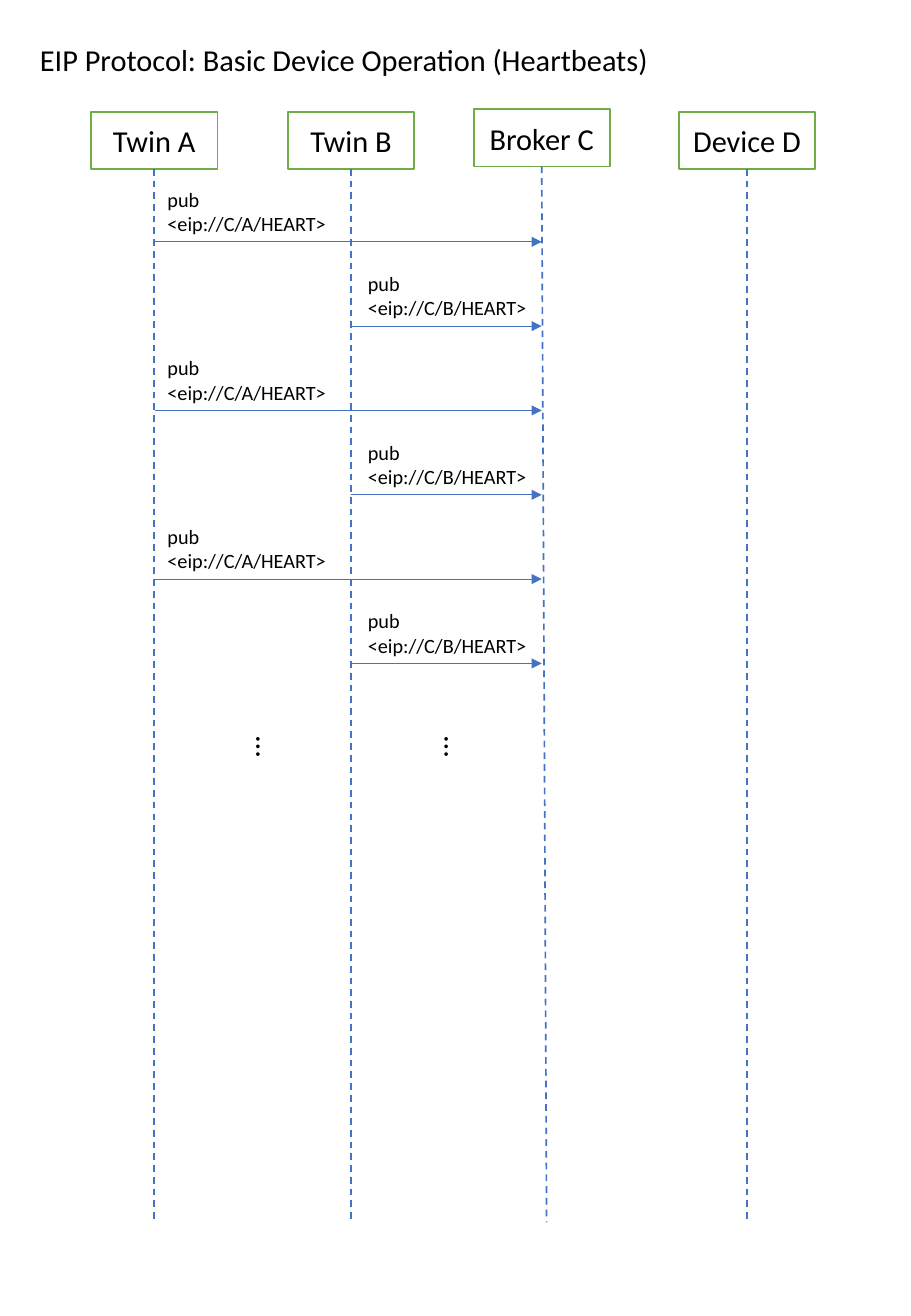
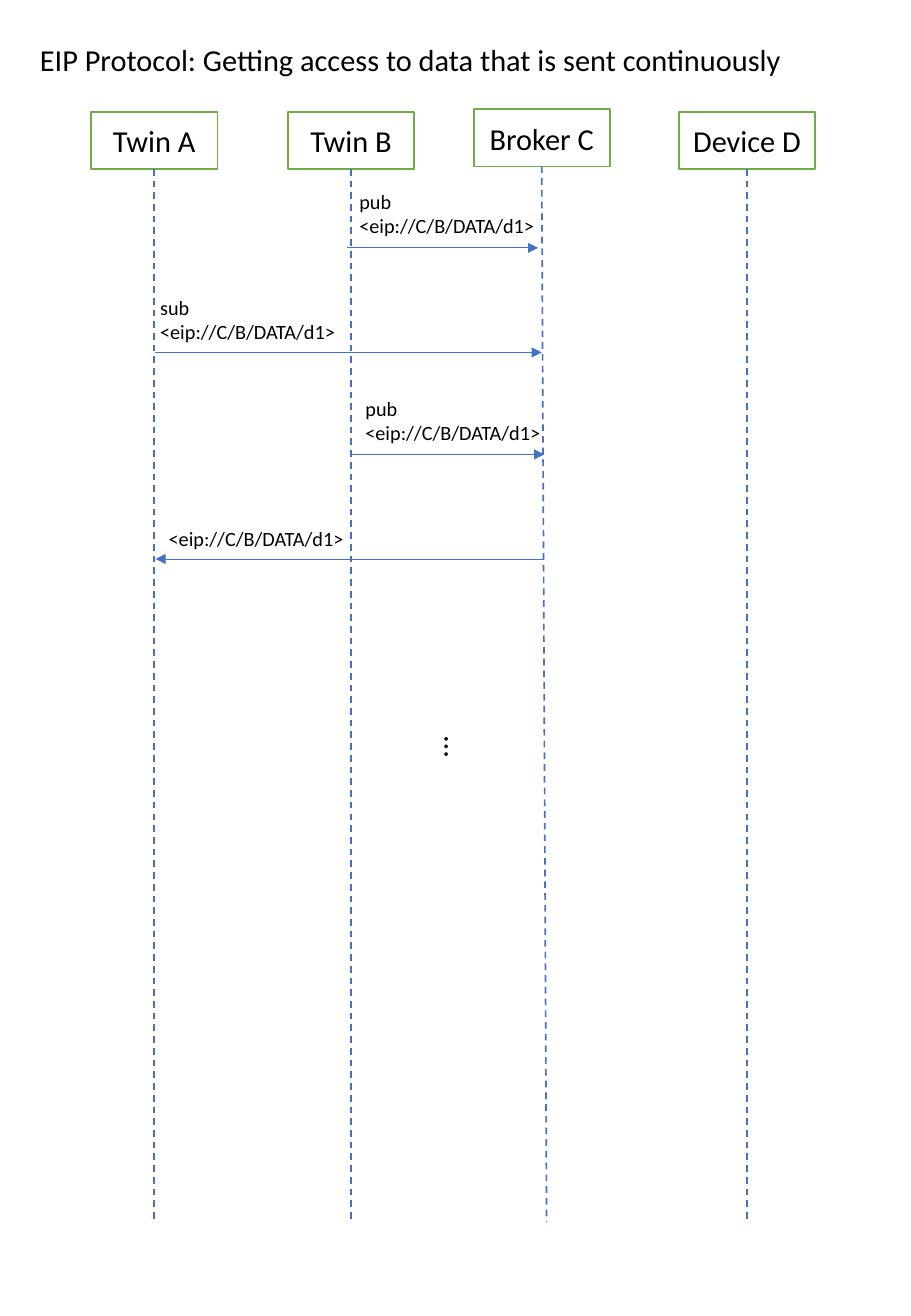
"""Build two sequence-diagram slides of the EIP protocol."""
import pptx
import pptx.dml.color
import pptx.enum.dml
import pptx.enum.shapes
import pptx.enum.text
import pptx.oxml
import pptx.oxml.ns
import pptx.util

Inches = pptx.util.Inches
TWIN_A, TWIN_B, BROKER_C = 1.28, 2.89, 4.46
LIFELINE_END = 10.06
DOTS_LEFT, DOTS_RIGHT = 1.91, 3.46
PARTIES = [
    ("Twin A", 0.75, 0.92, 1.04, 0),
    ("Twin B", 2.37, 0.92, 1.04, 0),
    ("Broker C", 3.9, 0.9, 1.12, 0.04),
    ("Device D", 5.59, 0.92, 1.12, 0),
]


class SequenceDiagram:
    COLORS = {"text": "000000", "box": "FFFFFF", "border": "70AD47", "line": "4472C4"}
    FONT = "Calibri"
    LARGE, SMALL = 18, 12
    BOX_HEIGHT = 0.47

    def __init__(self, presentation):
        self.presentation = presentation
        self.slide = None

    def color(self, role):
        return pptx.dml.color.RGBColor.from_string(self.COLORS[role])

    def styled_run(self, frame, text, size):
        run = frame.paragraphs[0].add_run()
        run.text = text
        run.font.name = self.FONT
        run.font.size = pptx.util.Pt(size)
        run.font.color.rgb = self.color("text")

    def start(self, title):
        self.slide = self.presentation.slides.add_slide(self.presentation.slide_layouts[6])
        for party in PARTIES:
            self.party(*party)
        self.label(title, 0.23, 0.29, 6.38, 0.4, self.LARGE, wrap=False)

    def label(self, text, left, top, width, height, size, wrap=True):
        box = self.slide.shapes.add_textbox(
            Inches(left), Inches(top), Inches(width), Inches(height))
        frame = box.text_frame
        frame.word_wrap = wrap
        frame.auto_size = pptx.enum.text.MSO_AUTO_SIZE.SHAPE_TO_FIT_TEXT
        self.styled_run(frame, text, size)
        return box

    def connector(self, x1, y1, x2, y2, width):
        connector = self.slide.shapes.add_connector(
            pptx.enum.shapes.MSO_CONNECTOR.STRAIGHT,
            Inches(x1), Inches(y1), Inches(x2), Inches(y2))
        connector.line.color.rgb = self.color("line")
        connector.line.width = pptx.util.Pt(width)
        connector.element.spPr.append(
            pptx.oxml.parse_xml(f"<a:effectLst {pptx.oxml.ns.nsdecls('a')}/>"))
        return connector

    def party(self, name, left, top, width, drift):
        head = self.slide.shapes.add_shape(
            pptx.enum.shapes.MSO_SHAPE.RECTANGLE,
            Inches(left), Inches(top), Inches(width), Inches(self.BOX_HEIGHT))
        head.shadow.inherit = False
        head.fill.solid()
        head.fill.fore_color.rgb = self.color("box")
        head.line.color.rgb = self.color("border")
        head.line.width = pptx.util.Pt(1)
        frame = head.text_frame
        frame.vertical_anchor = pptx.enum.text.MSO_ANCHOR.MIDDLE
        frame.paragraphs[0].alignment = pptx.enum.text.PP_ALIGN.CENTER
        self.styled_run(frame, name, self.LARGE)
        center = left + width / 2
        lifeline = self.connector(center, top + self.BOX_HEIGHT, center + drift, LIFELINE_END, 1)
        lifeline.line.dash_style = pptx.enum.dml.MSO_LINE.DASH
        lifeline.begin_connect(head, 2)

    def message(self, text, start, end, y, label_left, label_top, label_width, label_height=0.5):
        arrow = self.connector(start, y, end, y, 0.5)
        outline = arrow.element.spPr.find(pptx.oxml.ns.qn("a:ln"))
        outline.append(pptx.oxml.parse_xml(
            f"<a:tailEnd {pptx.oxml.ns.nsdecls('a')} type='triangle'/>"))
        self.label(text, label_left, label_top, label_width, label_height, self.SMALL)

    def continuation(self, left):
        dots = self.label("…", left, 5.96, 0.5, 0.27, self.LARGE, wrap=False)
        dots.element.txBody.bodyPr.set("vert", "vert")


def heartbeats(diagram):
    diagram.start("EIP Protocol: Basic Device Operation (Heartbeats)")
    first, last, count = 1.99, 5.46, 6
    senders = [("A", TWIN_A, TWIN_A, 1.65), ("B", TWIN_B, 2.93, 1.72)]
    for beat in range(count):
        twin, start, label_left, label_width = senders[beat % 2]
        y = first + beat * (last - first) / (count - 1)
        diagram.message(f"pub <eip://C/{twin}/HEART>", start, BROKER_C, y,
                        label_left, y - 0.5, label_width)
    for left in (DOTS_LEFT, DOTS_RIGHT):
        diagram.continuation(left)


def continuous_data(diagram):
    diagram.start("EIP Protocol: Getting access to data that is sent continuously")
    topic = "<eip://C/B/DATA/d1>"
    diagram.message(f"pub {topic}", 2.86, 4.43, 2.04, 2.86, 1.51, 1.65)
    diagram.message(f"sub {topic}", TWIN_A, BROKER_C, 2.9, 1.22, 2.38, 1.72)
    diagram.message(f"pub {topic}", TWIN_B, 4.48, 3.74, 2.91, 3.21, 1.65)
    diagram.message(topic, 4.48, TWIN_A, 4.6, 1.29, 4.28, 1.65, 0.3)
    diagram.continuation(DOTS_RIGHT)


def main():
    presentation = pptx.Presentation()
    presentation.slide_width = Inches(7.5)
    presentation.slide_height = Inches(10.83)
    diagram = SequenceDiagram(presentation)
    heartbeats(diagram)
    continuous_data(diagram)
    presentation.save("out.pptx")


if __name__ == "__main__":
    main()
